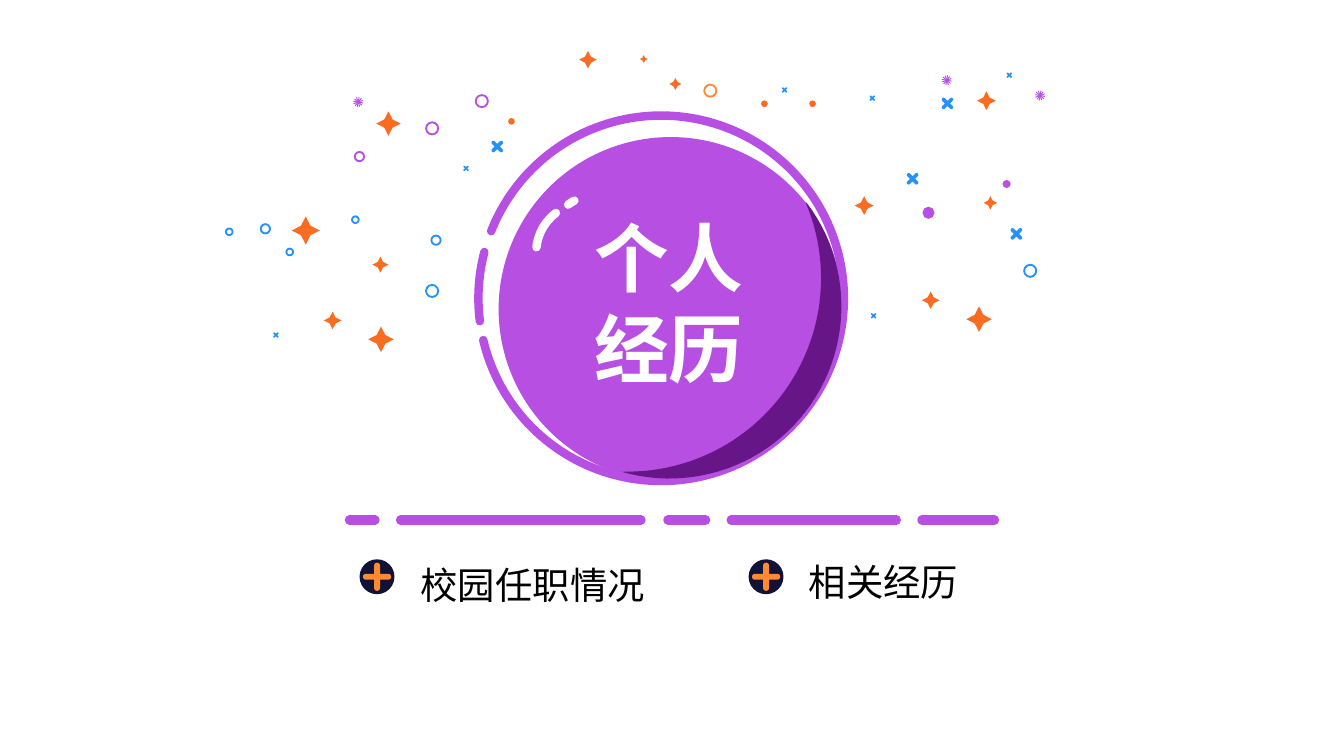
from dataclasses import dataclass
from math import cos, radians, sin, sqrt
from typing import NamedTuple

from lxml.etree import SubElement
from pptx import Presentation
from pptx.dml.color import RGBColor
from pptx.enum.shapes import MSO_CONNECTOR, MSO_SHAPE
from pptx.enum.text import PP_ALIGN
from pptx.oxml.ns import qn
from pptx.util import Pt


@dataclass(frozen=True)
class Theme:
    purple: str = "B74FE2"
    shade: str = "671688"
    orange: str = "FA6C22"
    amber: str = "FF8A33"
    blue: str = "2492F6"
    navy: str = "111235"
    white: str = "FFFFFF"
    black: str = "000000"
    font: str = "Noto Sans CJK SC"
    title_size: float = 40
    label_size: float = 20


class Mark(NamedTuple):
    x: float
    y: float
    size: float
    color: str


class Arc(NamedTuple):
    """A thin ring segment; start and end are block-arc adjustment values."""
    x: float
    y: float
    size: float
    start: float
    end: float
    color: str


class Label(NamedTuple):
    words: str
    icon_x: float
    left: float
    top: float
    width: float


THEME = Theme()
ICON_Y = 309
DASH_Y = 278.6
DASHES = [(187.2, 200.9), (214.6, 343.4), (357.8, 378), (391.7, 480.2), (493.9, 532.8)]
BALL = Mark(359.3, 165.6, 184.3, THEME.purple)
BALL_RIMS = [
    Arc(354.2, 159.8, 195.8, 120.93, 100.06, THEME.purple),
    Arc(354.2, 159.8, 195.8, 103.66, 116.81, THEME.purple),
]
GLINTS = [
    Arc(320.4, 131, 53.3, 139.85, 145.08, THEME.white),
    Arc(313.9, 135.4, 53.3, 111.7, 139.8, THEME.white),
]
STARS = [Mark(*place, THEME.orange) for place in (
    (208.1, 66.2, 13), (315, 32, 9.4), (361.8, 45, 6.5), (344.9, 31.7, 4.3),
    (498.6, 160.9, 9.4), (163.8, 123.5, 15.1), (463, 110.2, 10.1), (530.6, 108.7, 7.2),
    (524.5, 171, 13.7), (203.8, 141.8, 8.6), (528.5, 54, 10.1), (178.2, 171.7, 9.4),
    (204.1, 181.8, 13.7))]
DOTS = [Mark(x, y, 3.6, THEME.orange) for x, y in ((409.5, 55.6), (435.3, 55.6), (274, 65))]
DOTS += [Mark(497.4, 114, 6.5, THEME.purple), Mark(539.3, 98.6, 4.3, THEME.purple)]
RINGS = [Mark(*place, THEME.blue) for place in (
    (551.9, 145.1, 6.5), (122.8, 124.2, 3.6), (233.6, 128.7, 5), (142.2, 122.6, 5),
    (155.2, 135, 3.6), (190.4, 117.7, 3.6), (231.5, 155.9, 6.5))]
RINGS += [Mark(*place, THEME.purple) for place in (
    (231.5, 68.8, 6.5), (258.1, 54.2, 6.5), (192.6, 83.9, 5))]
RINGS.append(Mark(380.5, 48.6, 6.5, THEME.amber))
CROSSES = [Mark(x, y, 7.9, THEME.blue) for x, y in (
    (507.6, 55.4), (488.9, 95.8), (544.5, 125.3), (266.4, 78.5))]
CROSSES += [Mark(x, y, 3.6, THEME.blue) for x, y in (
    (467.3, 52.6), (540.7, 40.3), (420.3, 48.2), (468, 169.2), (249.7, 90.2), (147.8, 179.5))]
BURSTS = [Mark(x, y, 5, THEME.purple) for x, y in ((507.2, 43), (557.2, 51.2), (191.9, 54.7))]
LABELS = [
    Label("校园任职情况", 202, 218.2, 291.6, 146.2),
    Label("相关经历", 410.4, 426.2, 290.2, 101.5),
]


def rgb(color: str) -> RGBColor:
    return RGBColor.from_string(color)


def paint(shape, fill: str | None = None, line: str | None = None, width: float = 1) -> None:
    shape.shadow.inherit = False
    if fill:
        shape.fill.solid()
        shape.fill.fore_color.rgb = rgb(fill)
    else:
        shape.fill.background()
    if line:
        shape.line.color.rgb = rgb(line)
        shape.line.width = Pt(width)
    else:
        shape.line.fill.background()


def round_caps(outlined) -> None:
    outlined._element.spPr.find(qn("a:ln")).set("cap", "rnd")


def add_preset(shapes, preset: MSO_SHAPE, mark: Mark, adjustments=()):
    """Add a preset shape centred on the mark."""
    half = mark.size / 2
    shape = shapes.add_shape(preset, Pt(mark.x - half), Pt(mark.y - half),
                             Pt(mark.size), Pt(mark.size))
    for index, value in enumerate(adjustments):
        shape.adjustments[index] = value
    return shape


def add_arc(shapes, arc: Arc) -> None:
    shape = add_preset(shapes, MSO_SHAPE.BLOCK_ARC, Mark(arc.x, arc.y, arc.size, arc.color),
                       (arc.start, arc.end, 0))
    paint(shape, arc.color, arc.color, 4.5)
    round_caps(shape)


def add_stroke(shapes, x1: float, y1: float, x2: float, y2: float, color: str, width: float) -> None:
    stroke = shapes.add_connector(MSO_CONNECTOR.STRAIGHT, Pt(x1), Pt(y1), Pt(x2), Pt(y2))
    stroke.line.color.rgb = rgb(color)
    stroke.line.width = Pt(width)
    round_caps(stroke)
    SubElement(stroke._element.spPr, qn("a:effectLst"))


def polar(x: float, y: float, radius: float, angle: float) -> tuple[float, float]:
    return x + radius * cos(radians(angle)), y + radius * sin(radians(angle))


def sweep(x: float, y: float, radius: float, start: float, end: float, steps: int) -> list:
    """Points along a circle from start to end degrees, clockwise from the right."""
    return [polar(x, y, radius, start + (end - start) * i / steps) for i in range(steps + 1)]


def add_outline(shapes, points: list, color: str) -> None:
    corners = [(Pt(x), Pt(y)) for x, y in points]
    builder = shapes.build_freeform(*corners[0])
    builder.add_line_segments(corners[1:], close=True)
    paint(builder.convert_to_shape(), color)


def add_cross(shapes, mark: Mark, arm: float, turn: float) -> None:
    """Add a cross with round ends, its arms turned by the given degrees."""
    points = []
    for angle in (turn + quarter * 90 for quarter in range(4)):
        tip = polar(mark.x, mark.y, (mark.size - arm) / 2, angle)
        points += sweep(*tip, arm / 2, angle - 90, angle + 90, 8)
        points.append(polar(mark.x, mark.y, arm / sqrt(2), angle + 45))
    add_outline(shapes, points, mark.color)


def add_burst(shapes, mark: Mark) -> None:
    for angle in range(-50, 130, 30):
        ends = (polar(mark.x, mark.y, mark.size / 2, angle + side) for side in (180, 0))
        start, end = ends
        add_stroke(shapes, *start, *end, mark.color, 0.5)


def add_words(shapes, words: str, box: tuple, font_format: dict, color: str,
              paragraph_format: dict) -> None:
    text_frame = shapes.add_textbox(*map(Pt, box)).text_frame
    text_frame.word_wrap = True
    paragraph = text_frame.paragraphs[0]
    for key, value in paragraph_format.items():
        setattr(paragraph, key, value)
    run = paragraph.add_run()
    run.text = words
    for key, value in {"name": THEME.font, **font_format}.items():
        setattr(run.font, key, value)
    run.font.color.rgb = rgb(color)
    SubElement(run._r.get_or_add_rPr(), qn("a:ea")).set("typeface", THEME.font)


def main() -> None:
    deck = Presentation()
    deck.slide_width, deck.slide_height = Pt(720), Pt(405)
    shapes = deck.slides.add_slide(deck.slide_layouts[6]).shapes

    paint(add_preset(shapes, MSO_SHAPE.OVAL, BALL), BALL.color)
    for start, end in DASHES:
        add_stroke(shapes, start, DASH_Y, end, DASH_Y, THEME.purple, 5)
    for rim in BALL_RIMS:
        add_arc(shapes, rim)
    crescent = sweep(358.6, 164.2, 92.2, -37, 106, 48) + sweep(336.2, 149, 103.7, 90, -23, 48)
    add_outline(shapes, crescent, THEME.shade)
    add_words(shapes, "个人经历", (294.5, 108.7, 127.4, 104.4),
              {"size": Pt(THEME.title_size), "bold": True}, THEME.white,
              {"alignment": PP_ALIGN.CENTER, "line_spacing": Pt(49)})

    for star in STARS:
        paint(add_preset(shapes, MSO_SHAPE.STAR_4_POINT, star, (0.24,)), star.color)
    for dot in DOTS:
        paint(add_preset(shapes, MSO_SHAPE.STAR_4_POINT, dot, (0.5,)), dot.color)
    for ring in RINGS:
        paint(add_preset(shapes, MSO_SHAPE.OVAL, ring), line=ring.color)
    for cross in CROSSES:
        add_cross(shapes, cross, cross.size / 4, 45)
    for burst in BURSTS:
        add_burst(shapes, burst)
    for glint in GLINTS:
        add_arc(shapes, glint)

    for label in LABELS:
        add_words(shapes, label.words, (label.left, label.top, label.width, 34.6),
                  {"size": Pt(THEME.label_size)}, THEME.black, {"line_spacing": Pt(30)})
        disc = Mark(label.icon_x, ICON_Y, 18.7, THEME.navy)
        paint(add_preset(shapes, MSO_SHAPE.OVAL, disc), disc.color)
        add_cross(shapes, Mark(label.icon_x, ICON_Y, 15.1, THEME.amber), 3.2, 0)
    deck.save("out.pptx")


if __name__ == "__main__":
    main()
